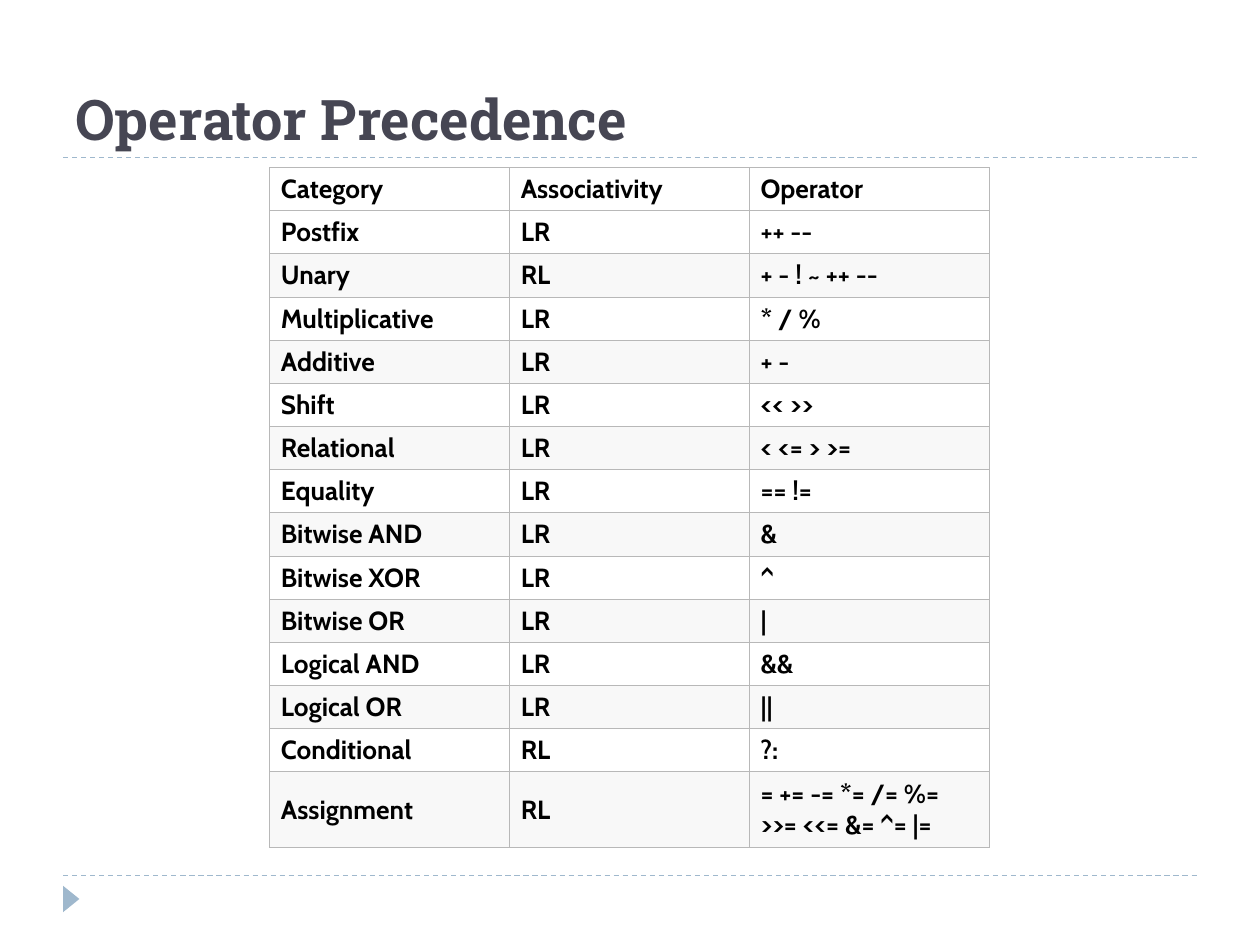
from dataclasses import dataclass

from lxml import etree
from pptx import Presentation
from pptx.dml.color import RGBColor
from pptx.enum.dml import MSO_LINE
from pptx.enum.shapes import MSO_CONNECTOR, MSO_SHAPE
from pptx.enum.text import MSO_ANCHOR
from pptx.oxml import parse_xml
from pptx.oxml.ns import nsdecls, qn
from pptx.util import Inches, Pt

STRAIGHT = MSO_CONNECTOR.STRAIGHT
TRIANGLE = MSO_SHAPE.ISOSCELES_TRIANGLE
DASH = MSO_LINE.DASH
MIDDLE, BOTTOM = MSO_ANCHOR.MIDDLE, MSO_ANCHOR.BOTTOM

TITLE = "Operator Precedence"
HEADER = ("Category", "Associativity", "Operator")
OPERATORS = [
    ("Postfix", "LR", "++ --"),
    ("Unary", "RL", "+ - ! ~ ++ --"),
    ("Multiplicative", "LR", "* / %"),
    ("Additive", "LR", "+ -"),
    ("Shift", "LR", "<< >>"),
    ("Relational", "LR", "< <= > >="),
    ("Equality", "LR", "== !="),
    ("Bitwise AND", "LR", "&"),
    ("Bitwise XOR", "LR", "^"),
    ("Bitwise OR", "LR", "|"),
    ("Logical AND", "LR", "&&"),
    ("Logical OR", "LR", "||"),
    ("Conditional", "RL", "?:"),
    ("Assignment", "RL", "= += -= *= /= %= >>= <<= &= ^= |="),
]
RULE_TOPS = (6.95, 1.25)
TABLE_LEFT, TABLE_TOP, TABLE_WIDTH, TABLE_HEIGHT = 2.14, 1.33, 5.71, 5.4
LAST_ROW_HEIGHT = 0.6


@dataclass(frozen=True)
class Theme:
    title_font: str = "Roboto Slab"
    body_font: str = "Cabin"
    title_size: int = 32
    body_size: int = 15
    title: str = "464653"
    text: str = "000000"
    accent: str = "9FB8CD"
    border: str = "B8B8B8"
    plain_row: str = "FFFFFF"
    shaded_row: str = "F8F8F8"
    rule_width: float = 0.75
    border_width: float = 0.6


THEME = Theme()


def color(value):
    return RGBColor.from_string(value)


def write(text_frame, text, font_name, size, text_color):
    text_frame.text = text
    font = text_frame.paragraphs[0].runs[0].font
    font.name, font.size, font.bold = font_name, Pt(size), True
    font.color.rgb = color(text_color)


def add_rule(slide, top):
    rule = slide.shapes.add_connector(
        STRAIGHT, Inches(0.5), Inches(top), Inches(9.5), Inches(top))
    rule.line.color.rgb = color(THEME.accent)
    rule.line.width = Pt(THEME.rule_width)
    rule.line.dash_style = DASH
    etree.SubElement(rule._element.spPr, qn("a:effectLst"))


def add_marker(slide):
    marker = slide.shapes.add_shape(
        TRIANGLE, Inches(0.46), Inches(7.07), Inches(0.21), Inches(0.13))
    marker.rotation = 90
    marker.shadow.inherit = False
    marker.fill.solid()
    marker.fill.fore_color.rgb = color(THEME.accent)
    marker.line.fill.background()


def add_title(slide):
    title = slide.shapes.add_textbox(
        Inches(0.5), Inches(0.17), Inches(9), Inches(1.08))
    title.text_frame.word_wrap = True
    title.text_frame.vertical_anchor = BOTTOM
    write(title.text_frame, TITLE, THEME.title_font, THEME.title_size, THEME.title)


def add_borders(cell):
    properties = cell._tc.get_or_add_tcPr()
    for position, side in enumerate(("lnL", "lnR", "lnT", "lnB")):
        properties.insert(position, parse_xml(
            f'<a:{side} {nsdecls("a")} w="{Pt(THEME.border_width)}"><a:solidFill>'
            f'<a:srgbClr val="{THEME.border}"/></a:solidFill></a:{side}>'))


def format_cell(cell, text, fill):
    write(cell.text_frame, text, THEME.body_font, THEME.body_size, THEME.text)
    cell.vertical_anchor = MIDDLE
    cell.margin_left = cell.margin_right = Inches(0.09)
    cell.margin_top = cell.margin_bottom = Inches(0.04)
    cell.fill.solid()
    cell.fill.fore_color.rgb = color(fill)
    add_borders(cell)


def add_operator_table(slide):
    rows = [HEADER, *OPERATORS]
    table = slide.shapes.add_table(
        len(rows), len(HEADER), Inches(TABLE_LEFT), Inches(TABLE_TOP),
        Inches(TABLE_WIDTH), Inches(TABLE_HEIGHT)).table
    for column in table.columns:
        column.width = Inches(TABLE_WIDTH / len(HEADER))
    row_height = (TABLE_HEIGHT - LAST_ROW_HEIGHT) / len(OPERATORS)
    for index, texts in enumerate(rows):
        is_last = index == len(rows) - 1
        table.rows[index].height = Inches(LAST_ROW_HEIGHT if is_last else row_height)
        fill = THEME.shaded_row if index and index % 2 == 0 else THEME.plain_row
        for cell, text in zip(table.rows[index].cells, texts):
            format_cell(cell, text, fill)


presentation = Presentation()
presentation.slide_width, presentation.slide_height = Inches(10), Inches(7.5)
slide = presentation.slides.add_slide(presentation.slide_layouts[6])
for rule_top in RULE_TOPS:
    add_rule(slide, rule_top)
add_marker(slide)
add_title(slide)
add_operator_table(slide)
presentation.save("out.pptx")
